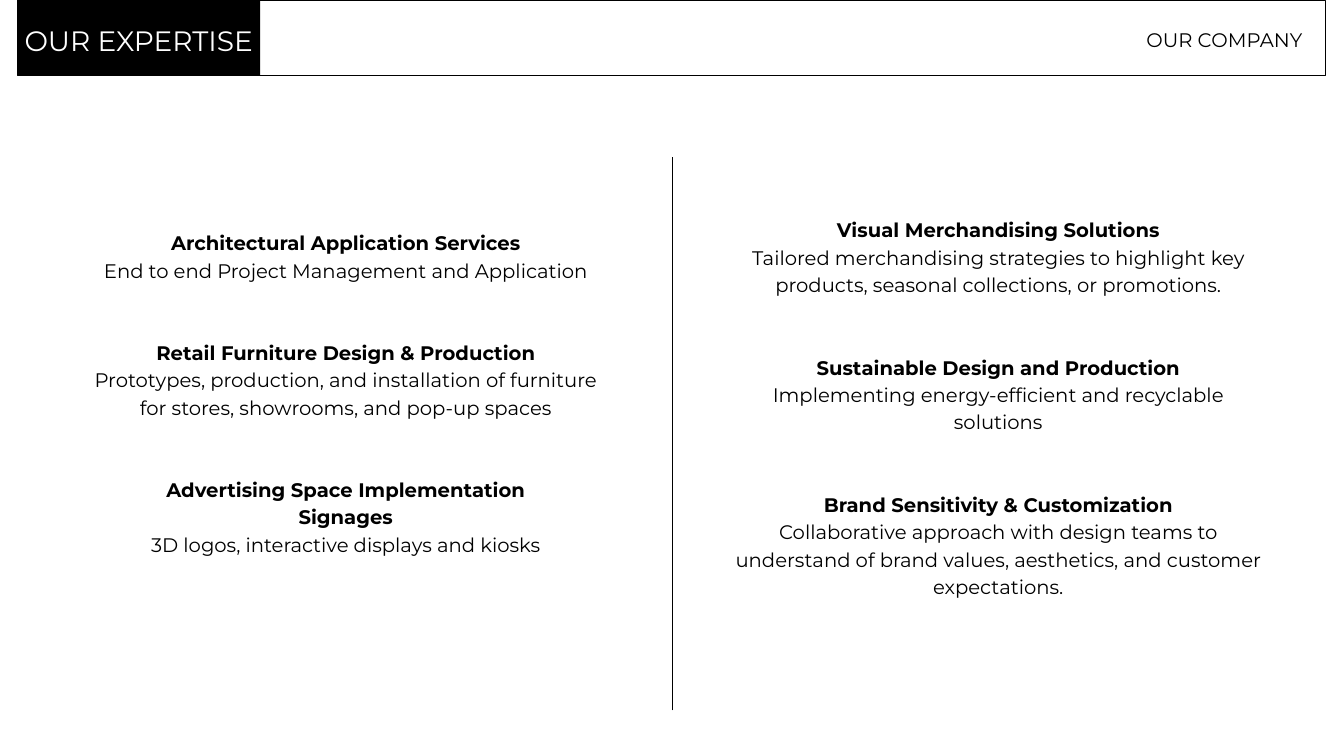
from lxml import etree
from pptx import Presentation
from pptx.dml.color import RGBColor
from pptx.enum import shapes, text
from pptx.oxml import ns
from pptx import util as u

SCALE = 9144
BLACK, WHITE = "000000", "FFFFFF"
FONT = "Montserrat"
BODY_SIZE, BODY_LEADING = 21, 29.4

LEFT_SERVICES = [
    (["Architectural Application Services"],
     "End to end Project Management and Application"),
    (["Retail Furniture Design & Production"],
     "Prototypes, production, and installation of furniture for stores, showrooms, and pop-up spaces"),
    (["Advertising Space Implementation", "Signages"],
     "3D logos, interactive displays and kiosks"),
]
RIGHT_SERVICES = [
    (["Visual Merchandising Solutions"],
     "Tailored merchandising strategies to highlight key products, seasonal collections, or promotions."),
    (["Sustainable Design and Production"],
     "Implementing energy-efficient and recyclable solutions"),
    (["Brand Sensitivity & Customization"],
     "Collaborative approach with design teams to understand of brand values, aesthetics, and customer expectations."),
]


def px(value):
    return u.Emu(value * SCALE)


def color(value):
    return RGBColor.from_string(value)


def write(para, content, size=BODY_SIZE, leading=BODY_LEADING, ink=BLACK, bold=False, before=0):
    para.alignment = text.PP_ALIGN.CENTER
    para.line_spacing = u.Pt(leading)
    para.space_before = u.Pt(before)
    para.space_after = u.Pt(0)
    span = para.add_run()
    span.text = content
    span.font.name = FONT
    span.font.size = u.Pt(size)
    span.font.bold = bold
    span.font.color.rgb = color(ink)


class ExpertiseSlide:
    def __init__(self, deck):
        self.page = deck.slides.add_slide(deck.slide_layouts[5])

    def frame(self, box):
        frame = box.text_frame
        frame.word_wrap = True
        frame.auto_size = text.MSO_AUTO_SIZE.NONE
        frame.vertical_anchor = text.MSO_ANCHOR.TOP
        frame.margin_left = frame.margin_right = frame.margin_top = frame.margin_bottom = 0
        return frame

    def title(self, content, left, top, width, height):
        box = self.page.shapes.title
        box.left, box.top, box.width, box.height = map(px, (left, top, width, height))
        box.element.getparent().append(box.element)
        write(self.frame(box).paragraphs[0], content, size=30, leading=42, ink=WHITE)

    def textbox(self, left, top, width, height):
        return self.frame(self.page.shapes.add_textbox(*map(px, (left, top, width, height))))

    def label(self, content, *place):
        write(self.textbox(*place).paragraphs[0], content)

    def services(self, entries, *place):
        frame = self.textbox(*place)
        para = frame.paragraphs[0]
        for index, (headings, detail) in enumerate(entries):
            for line, heading in enumerate(headings):
                if index or line:
                    para = frame.add_paragraph()
                gap = 2 * BODY_LEADING if index and not line else 0
                write(para, heading, bold=True, before=gap)
            write(frame.add_paragraph(), detail)

    def panel(self, left, top, width, height, fill, outlined=False):
        panel = self.page.shapes.add_shape(
            shapes.MSO_SHAPE.RECTANGLE, *map(px, (left, top, width, height)))
        panel.shadow.inherit = False
        panel.fill.solid()
        panel.fill.fore_color.rgb = color(fill)
        if outlined:
            self.stroke(panel.line)
        else:
            panel.line.fill.background()

    def divider(self, *ends):
        line = self.page.shapes.add_connector(shapes.MSO_CONNECTOR.STRAIGHT, *map(px, ends))
        self.stroke(line.line)
        etree.SubElement(line.element.spPr, ns.qn("a:effectLst"))

    def stroke(self, line):
        line.color.rgb = color(BLACK)
        line.width = u.Pt(0.75)


def main():
    deck = Presentation()
    deck.slide_width, deck.slide_height = px(2000), px(1125)
    slide = ExpertiseSlide(deck)
    slide.panel(26, 0, 1947, 112, WHITE, outlined=True)
    slide.panel(26, 0, 361, 112, BLACK)
    slide.title("OUR EXPERTISE", 26, 27, 361, 54)
    slide.label("OUR COMPANY", 1706, 35, 232, 39)
    slide.services(LEFT_SERVICES, 123, 338, 783, 787)
    slide.services(RIGHT_SERVICES, 1094, 319, 783, 648)
    slide.divider(1000, 1057, 1000, 233)
    deck.save("out.pptx")


if __name__ == "__main__":
    main()
